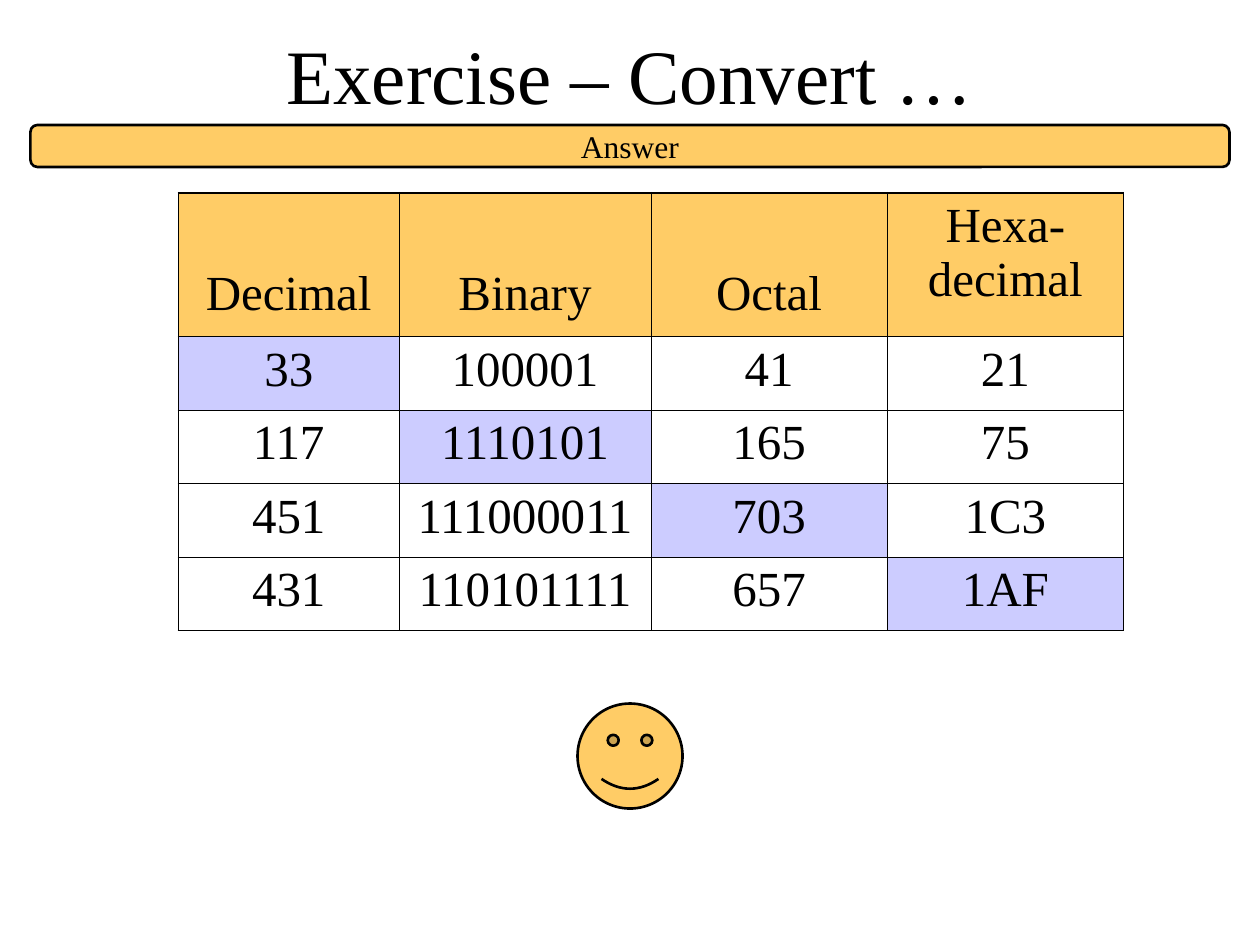
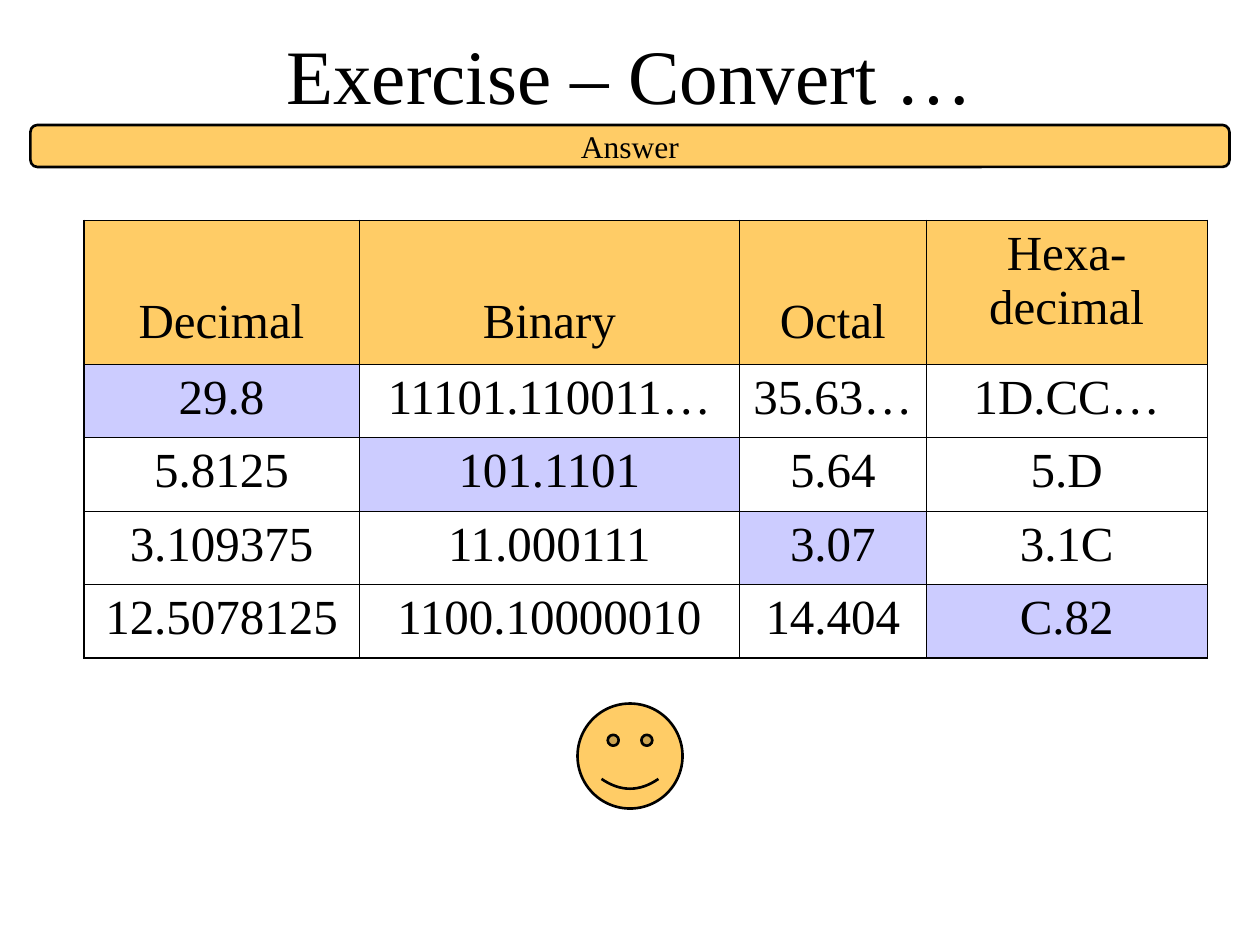
from dataclasses import dataclass

from lxml import etree
from pptx import Presentation
from pptx import util as u
from pptx.dml.color import RGBColor
from pptx.enum import shapes, text
from pptx.oxml.ns import qn


@dataclass(frozen=True)
class Theme:
    """Colours, font, type sizes and line widths shared by the slides."""
    ink: str = "000000"
    gold: str = "FFCC66"
    lilac: str = "CCCCFF"
    font: str = "Times New Roman"
    title: int = 44
    cell: int = 28
    band: int = 18
    line: float = 1.5
    edge: float = 1.08
    rule: float = 0.45


THEME = Theme()
WIDE, HIGH = u.Inches(10), u.Inches(7.5)
COLS, ROWS = 120, 90
TITLE = (9, 2, 102, 10)
BAND = (2.9, 11.9, 114.2, 4)
SMILE = (55, 67, 10, 10)
HEADS = ("Decimal", "Binary", "Octal", "Hexa-\vdecimal")
HEAD_ROW, BODY_ROW = 13.7, 7

WHOLE = (
    ("33", "100001", "41", "21"),
    ("117", "1110101", "165", "75"),
    ("451", "111000011", "703", "1C3"),
    ("431", "110101111", "657", "1AF"),
)
PARTS = (
    ("29.8", "11101.110011…", "35.63…", "1D.CC…"),
    ("5.8125", "101.1101", "5.64", "5.D"),
    ("3.109375", "11.000111", "3.07", "3.1C"),
    ("12.5078125", "1100.10000010", "14.404", "C.82"),
)


def across(cols):
    """Turn grid columns into a length."""
    return round(WIDE * cols / COLS)


def down(rows):
    """Turn grid rows into a length."""
    return round(HIGH * rows / ROWS)


def place(box):
    """Turn a grid box into left, top, width and height."""
    left, top, width, height = box
    return across(left), down(top), across(width), down(height)


def write(frame, words, size):
    """Write centred words in the theme's font."""
    frame.text = words
    for para in frame.paragraphs:
        para.alignment = text.PP_ALIGN.CENTER
        for run in para.runs:
            run.font.size = u.Pt(size)
            run.font.name = THEME.font
            run.font.color.rgb = RGBColor.from_string(THEME.ink)


def draw_title(slide, box, words):
    """Move and fill the title placeholder."""
    title = slide.shapes.title
    title.left, title.top, title.width, title.height = place(box)
    write(title.text_frame, words, THEME.title)
    title.text_frame.vertical_anchor = text.MSO_ANCHOR.MIDDLE


def draw_shape(slide, kind, box):
    """Add a gold shape with a dark outline."""
    shape = slide.shapes.add_shape(kind, *place(box))
    shape.shadow.inherit = False
    shape.fill.solid()
    shape.fill.fore_color.rgb = RGBColor.from_string(THEME.gold)
    shape.line.color.rgb = RGBColor.from_string(THEME.ink)
    shape.line.width = u.Pt(THEME.line)
    return shape


def draw_band(slide, box, words):
    """Add the labelled band below the title."""
    band = draw_shape(slide, shapes.MSO_SHAPE.ROUNDED_RECTANGLE, box)
    frame = band.text_frame
    frame.margin_top = frame.margin_bottom = 0
    frame.vertical_anchor = text.MSO_ANCHOR.MIDDLE
    write(frame, words, THEME.band)


def set_edges(cell, outer):
    """Rule the four sides of a cell, heavier where the side is outer."""
    props = cell._tc.get_or_add_tcPr()
    for side in "LRTB":
        width = THEME.edge if side in outer else THEME.rule
        line = etree.SubElement(props, qn(f"a:ln{side}"), w=str(u.Pt(width)))
        fill = etree.SubElement(line, qn("a:solidFill"))
        etree.SubElement(fill, qn("a:srgbClr"), val=THEME.ink)


def set_fill(cell, row, col):
    """Shade heads gold and each row's given number lilac."""
    if row == 0 or row == col + 1:
        cell.fill.solid()
        shade = THEME.lilac if row else THEME.gold
        cell.fill.fore_color.rgb = RGBColor.from_string(shade)
    else:
        cell.fill.background()


def draw_table(slide, left, top, widths, body):
    """Add the number table at a grid point."""
    data = (HEADS, *body)
    tall = HEAD_ROW + BODY_ROW * len(body)
    box = place((left, top, sum(widths), tall))
    table = slide.shapes.add_table(len(data), len(widths), *box).table
    table.first_row = table.horz_banding = False
    for col, width in zip(table.columns, widths):
        col.width = across(width)
    for r, values in enumerate(data):
        table.rows[r].height = down(BODY_ROW if r else HEAD_ROW)
        for c, value in enumerate(values):
            cell = table.cell(r, c)
            sides = {"L": c == 0, "R": c == len(widths) - 1,
                     "T": r == 0, "B": r == len(body)}
            set_edges(cell, [side for side, outer in sides.items() if outer])
            set_fill(cell, r, c)
            write(cell.text_frame, value, THEME.cell)
            if r == 0 and "\v" not in value:
                cell.vertical_anchor = text.MSO_ANCHOR.BOTTOM
                cell.margin_bottom = u.Inches(0.12)


def add_answer(deck, left, top, widths, body):
    """Add one answer slide with its table."""
    slide = deck.slides.add_slide(deck.slide_layouts.get_by_name("Title Only"))
    draw_title(slide, TITLE, "Exercise – Convert …")
    draw_table(slide, left, top, widths, body)
    draw_shape(slide, shapes.MSO_SHAPE.SMILEY_FACE, SMILE)
    draw_band(slide, BAND, "Answer")


def main():
    """Build and save the deck."""
    deck = Presentation()
    deck.slide_width, deck.slide_height = WIDE, HIGH
    add_answer(deck, 17, 18.35, (21, 24, 22.5, 22.5), WHOLE)
    add_answer(deck, 8, 21, (26.2, 36.25, 17.75, 26.8), PARTS)
    deck.save("out.pptx")


if __name__ == "__main__":
    main()
